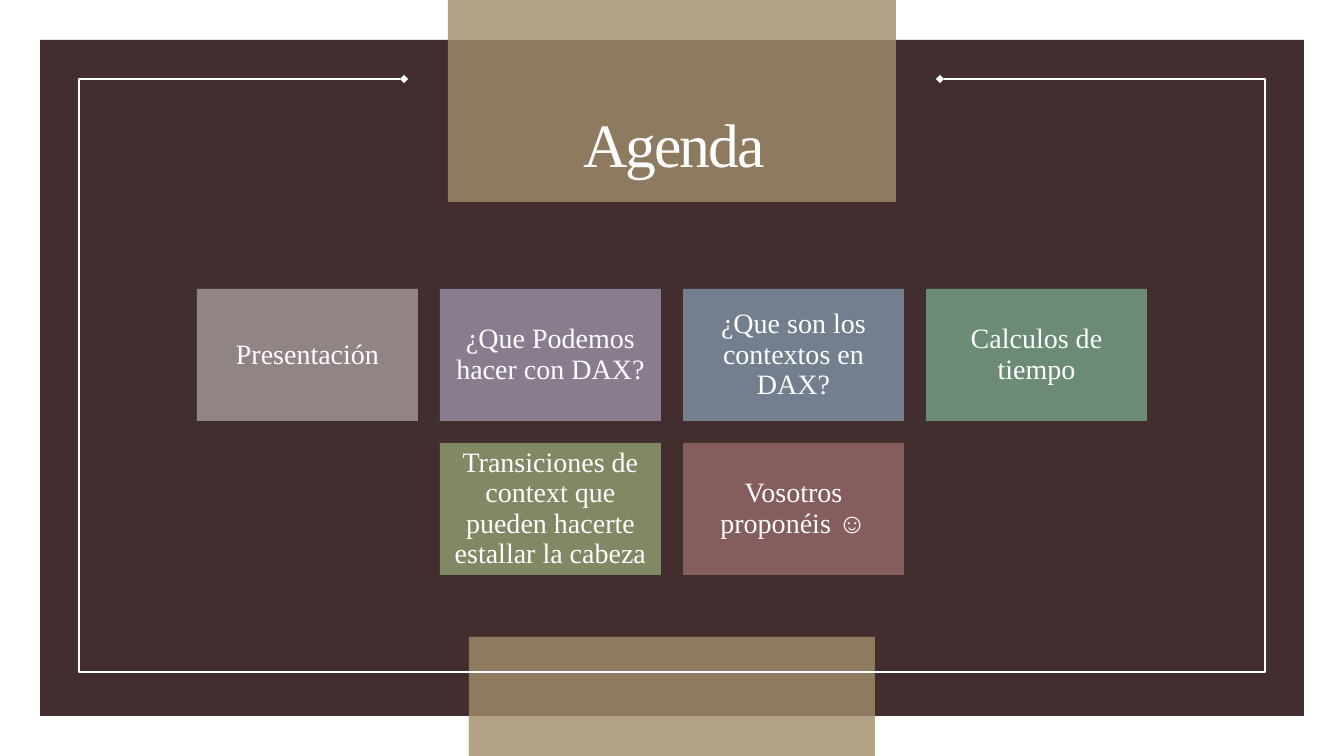
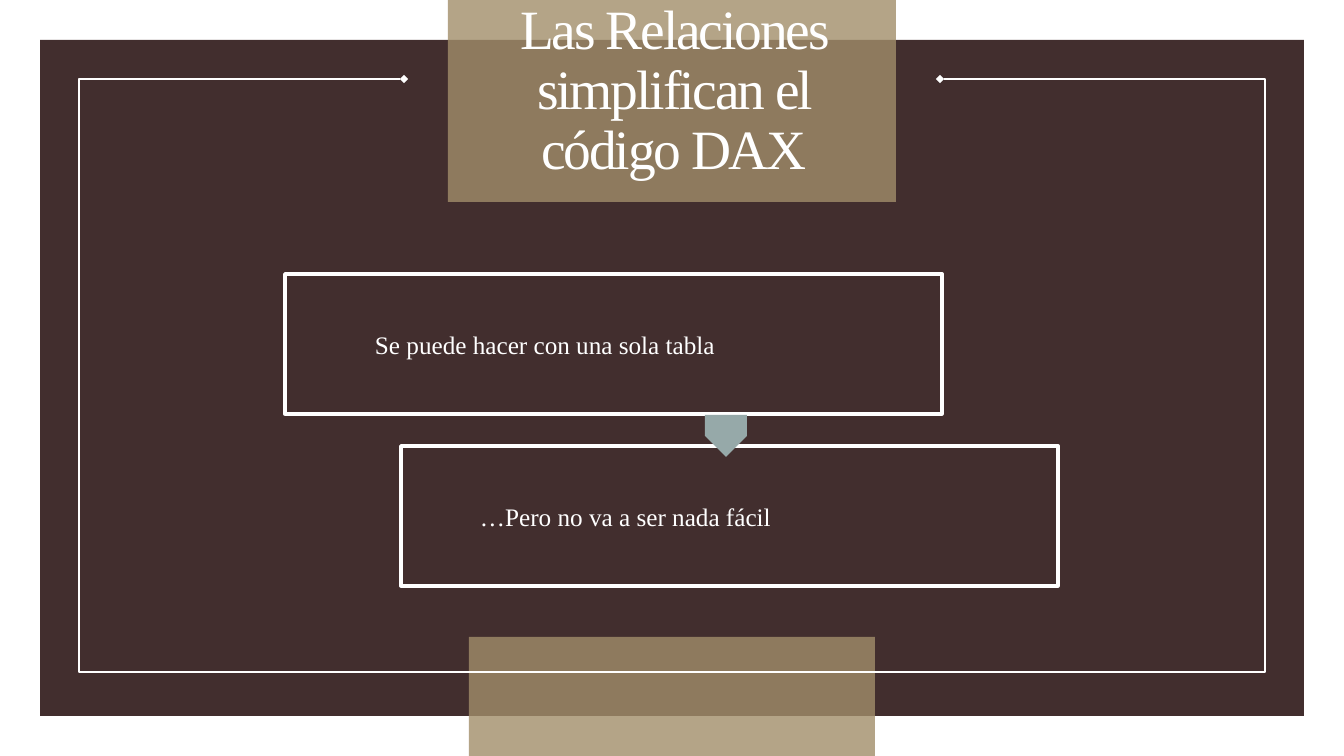
from lxml.etree import SubElement
from pptx import Presentation
from pptx.dml.color import RGBColor as RGB
from pptx.enum.shapes import MSO_SHAPE as SHAPE
from pptx.enum.text import MSO_ANCHOR as ANCHOR, MSO_AUTO_SIZE as AUTO, PP_ALIGN as ALIGN
from pptx.oxml.ns import qn
from pptx.util import Pt

PX = 9071.43  # EMU in one px
FONT = "Times New Roman"
COLOR = {
    "white": "FFFFFF", "wine": "422E2E", "sand": "A28E6A", "arrow": "96A9A9",
    "gray": "918485", "plum": "8A7C8F", "slate": "737F8E",
    "green": "6B8B77", "olive": "818864", "rose": "855D5D",
}


def box(slide, kind, rect, fill=None):
    shape = slide.shapes.add_shape(kind, *[round(v * PX) for v in rect])
    shape.shadow.inherit = False
    shape.line.fill.background()
    if fill:
        shape.fill.solid()
        shape.fill.fore_color.rgb = RGB.from_string(COLOR[fill])
    else:
        shape.fill.background()
    return shape


def write(shape, text, size, insets, anchor=ANCHOR.MIDDLE, space=0.9):
    frame = shape.text_frame
    frame.text = text
    frame.word_wrap = True
    frame.auto_size = AUTO.NONE
    frame.vertical_anchor = anchor
    left, top, right, bottom = [round(v * PX) for v in insets]
    frame.margin_left, frame.margin_right = left, right
    frame.margin_top, frame.margin_bottom = top, bottom
    para = frame.paragraphs[0]
    para.alignment = ALIGN.CENTER
    para.line_spacing = space
    run = para.runs[0]
    run.font.name = FONT
    run.font.size = Pt(size)
    run.font.color.rgb = RGB.from_string(COLOR["white"])
    return run


deck = Presentation()
deck.slide_width = round(1344 * PX)
deck.slide_height = round(756 * PX)
layout = deck.slide_layouts[5]

# Shared title place
head = layout.placeholders[0]
head.left, head.top, head.width, head.height = [
    round(v * PX) for v in (453, 39, 442, 147)]

# Slides with their titles
slides = []
for title, size in (("Agenda", 44),
                    ("Las Relaciones simplifican el código DAX", 39.6)):
    slide = deck.slides.add_slide(layout)
    run = write(slide.shapes.title, title, size, (10, 5, 10, 5), ANCHOR.BOTTOM)
    run.font._element.set("spc", "-150")
    slides.append(slide)
agenda, links = slides

# Shared panel, bands and frame, drawn once and moved to the layout
decor = [box(agenda, SHAPE.RECTANGLE, (40, 40, 1264, 676), "wine")]
for rect in ((448, 0, 448, 202), (469, 637, 406, 119)):
    band = box(agenda, SHAPE.RECTANGLE, rect, "sand")
    tint = band.element.spPr.find(qn("a:solidFill"))[0]
    SubElement(tint, qn("a:alpha"), val="80000")
    decor.append(band)

trail = agenda.shapes.build_freeform(940, 79, scale=PX)
trail.add_line_segments(
    [(1265, 79), (1265, 672), (79, 672), (79, 79), (404, 79)], close=False)
frame = trail.convert_to_shape()
frame.shadow.inherit = False
frame.fill.background()
frame.line.color.rgb = RGB.from_string(COLOR["white"])
frame.line.width = Pt(1)
line = frame.element.spPr.find(qn("a:ln"))
for end in ("a:headEnd", "a:tailEnd"):
    SubElement(line, qn(end), type="diamond")
decor.append(frame)

for spot, shape in enumerate(decor, 2):
    layout.shapes.element.insert(spot, shape.element)

# Agenda cards: four above, two centred below
cards = [
    (0, 0, "gray", "Presentación"),
    (1, 0, "plum", "¿Que Podemos hacer con DAX?"),
    (2, 0, "slate", "¿Que son los contextos en DAX?"),
    (3, 0, "green", "Calculos de tiempo"),
    (1, 1, "olive", "Transiciones de context que pueden hacerte estallar la cabeza"),
    (2, 1, "rose", "Vosotros proponéis ☺"),
]
WIDE, HIGH, GAP = 221, 132, 22
for col, row, fill, text in cards:
    rect = (197 + col * (WIDE + GAP), 289 + row * (HIGH + GAP), WIDE, HIGH)
    write(box(agenda, SHAPE.RECTANGLE, rect, fill), text, 20, (8, 8, 8, 8))

# Two outlined steps and the arrow between them
steps = [
    (285, 274, 148, "Se puede hacer con una sola tabla"),
    (401, 446, 219, "…Pero no va a ser nada fácil"),
]
for left, top, right, text in steps:
    step = box(links, SHAPE.RECTANGLE, (left, top, 657, 140))
    step.line.color.rgb = RGB.from_string(COLOR["white"])
    step.line.width = Pt(2.5)
    write(step, text, 18, (11, 11, right, 11), space=1)
arrow = box(links, SHAPE.PENTAGON, (705, 415, 42, 42), "arrow")
arrow.rotation = 90

deck.save("out.pptx")
